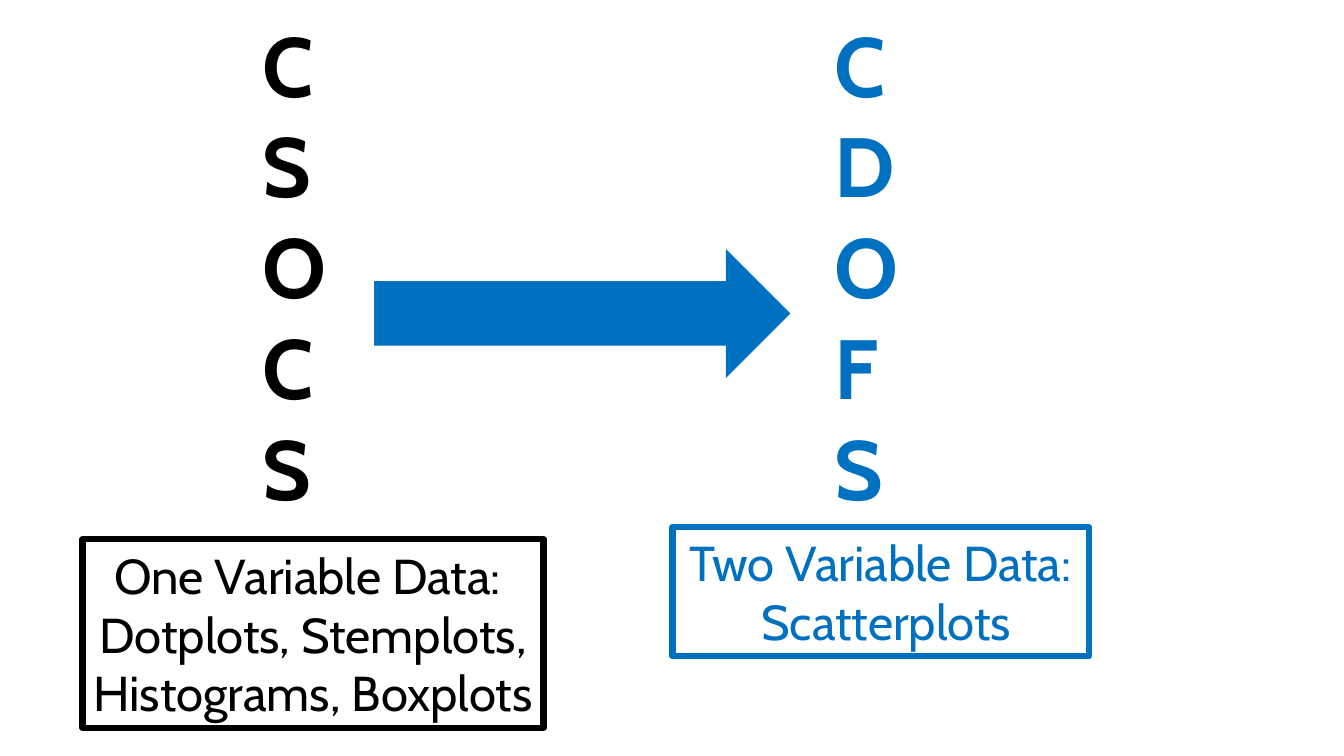
from dataclasses import dataclass

from pptx import Presentation
from pptx.dml.color import RGBColor
from pptx.enum.shapes import MSO_SHAPE as Shape
from pptx.enum.text import MSO_ANCHOR as Anchor, MSO_AUTO_SIZE as AutoSize, PP_ALIGN as Align
from pptx.shapes.autoshape import Shape as AutoShape
from pptx.slide import Slide
from pptx.text.text import TextFrame
from pptx.util import Inches, Pt


@dataclass(frozen=True)
class Theme:
    font: str = "Cabin"
    black: RGBColor = RGBColor(0x00, 0x00, 0x00)
    blue: RGBColor = RGBColor(0x00, 0x70, 0xC0)
    white: RGBColor = RGBColor(0xFF, 0xFF, 0xFF)
    letter_size: float = 60
    caption_size: float = 35
    border: float = 4.5


THEME = Theme()


@dataclass(frozen=True)
class Box:
    left: float
    top: float
    width: float
    height: float

    def lengths(self) -> list[Inches]:
        return [Inches(v) for v in (self.left, self.top, self.width, self.height)]


@dataclass(frozen=True)
class Acronym:
    letters: str
    letters_left: float
    caption: tuple[str, ...]
    caption_box: Box
    color: RGBColor


ACRONYMS = (
    Acronym("CSOCS", 2.51,
            ("One Variable Data: ", "Dotplots, Stemplots, Histograms, Boxplots"),
            Box(0.82, 5.35, 4.57, 1.87), THEME.black),
    Acronym("CDOFS", 8.18,
            ("Two Variable Data:", " Scatterplots"),
            Box(6.67, 5.23, 4.13, 1.28), THEME.blue),
)
ARROW = Box(3.71, 2.47, 4.13, 1.28)


def write_lines(tf: TextFrame, lines: tuple[str, ...], size: float,
                color: RGBColor, bold: bool, align: Align) -> None:
    tf.word_wrap = True
    for i, line in enumerate(lines):
        p = tf.paragraphs[0] if i == 0 else tf.add_paragraph()
        p.alignment = align
        r = p.add_run()
        r.text = line
        for name, value in {"name": THEME.font, "size": Pt(size), "bold": bold}.items():
            setattr(r.font, name, value)
        r.font.color.rgb = color


def add_filled(s: Slide, kind: Shape, box: Box, fill: RGBColor) -> AutoShape:
    sp = s.shapes.add_shape(kind, *box.lengths())
    sp.shadow.inherit = False
    sp.fill.solid()
    sp.fill.fore_color.rgb = fill
    return sp


def add_letters(s: Slide, item: Acronym) -> None:
    tf = s.shapes.add_textbox(*Box(item.letters_left, 0.08, 1.2, 5.15).lengths()).text_frame
    write_lines(tf, tuple(item.letters), THEME.letter_size, item.color, True, Align.LEFT)
    tf.auto_size = AutoSize.SHAPE_TO_FIT_TEXT


def add_caption(s: Slide, item: Acronym) -> None:
    sp = add_filled(s, Shape.RECTANGLE, item.caption_box, THEME.white)
    sp.line.color.rgb = item.color
    sp.line.width = Pt(THEME.border)
    tf = sp.text_frame
    write_lines(tf, item.caption, THEME.caption_size, item.color, False, Align.CENTER)
    tf.vertical_anchor = Anchor.MIDDLE
    tf.auto_size = AutoSize.SHAPE_TO_FIT_TEXT


def main() -> None:
    prs = Presentation()
    prs.slide_width, prs.slide_height = Inches(13.33), Inches(7.5)
    s = prs.slides.add_slide(prs.slide_layouts.get_by_name("Blank"))
    for item in ACRONYMS:
        add_letters(s, item)
        add_caption(s, item)
    arrow = add_filled(s, Shape.RIGHT_ARROW, ARROW, THEME.blue)
    arrow.line.fill.background()
    prs.save("out.pptx")


if __name__ == "__main__":
    main()
